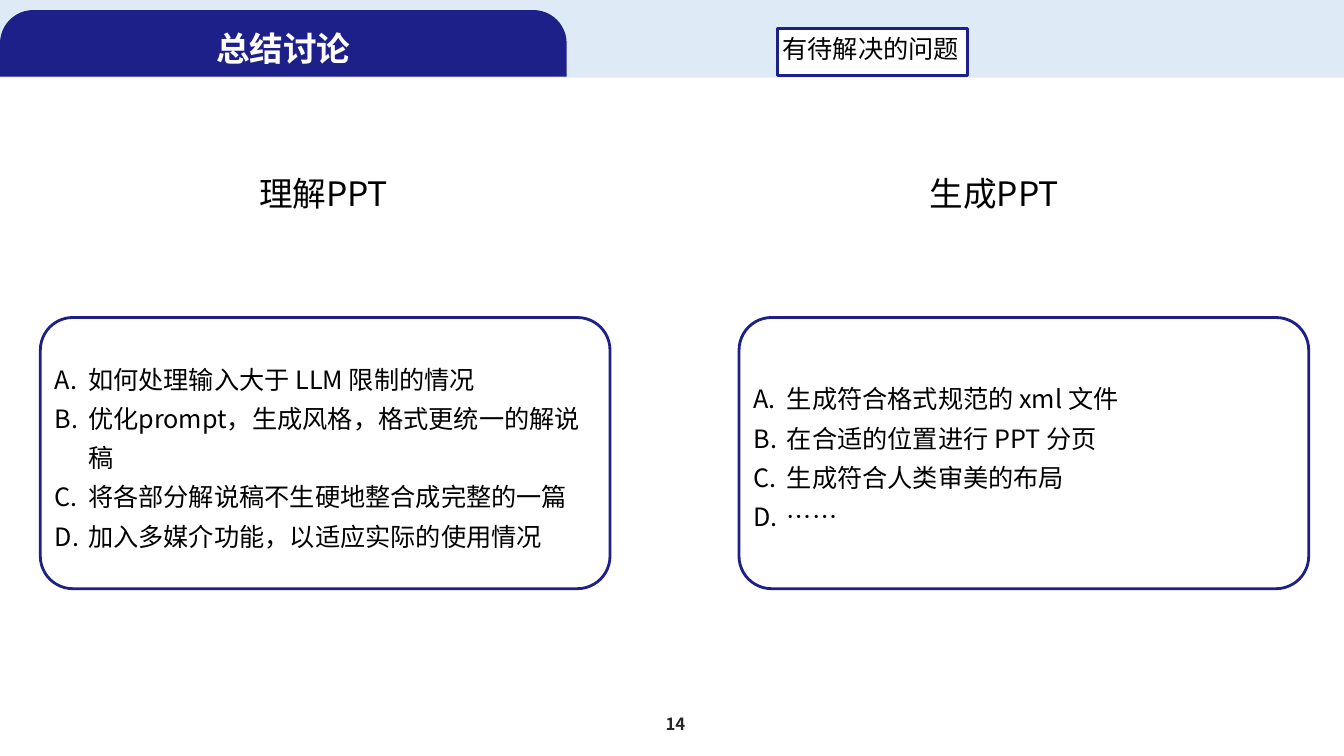
from lxml import etree
from pptx import Presentation
from pptx.dml.color import RGBColor
from pptx.enum.shapes import MSO_SHAPE
from pptx.enum.text import MSO_ANCHOR, MSO_AUTO_SIZE, PP_ALIGN
from pptx.oxml.ns import qn
from pptx.util import Inches, Pt

RECTANGLE = MSO_SHAPE.RECTANGLE
ROUNDED = MSO_SHAPE.ROUNDED_RECTANGLE
TAB = MSO_SHAPE.ROUND_2_SAME_RECTANGLE
TOP, MIDDLE = MSO_ANCHOR.TOP, MSO_ANCHOR.MIDDLE
LEFT, CENTER = PP_ALIGN.LEFT, PP_ALIGN.CENTER
GROW = MSO_AUTO_SIZE.SHAPE_TO_FIT_TEXT

NAVY = RGBColor(0x1D, 0x20, 0x88)
PALE_BLUE = RGBColor(0xDE, 0xEB, 0xF7)
WHITE = RGBColor(0xFF, 0xFF, 0xFF)
BLACK = RGBColor(0, 0, 0)
DARK_GRAY = RGBColor(0x26, 0x26, 0x26)
FONT = "Noto Sans CJK SC"

presentation = Presentation()
presentation.slide_width = Inches(13.33)
presentation.slide_height = Inches(7.5)
slide = presentation.slides.add_slide(presentation.slide_layouts[6])


def add_panel(kind, box, fill, line=None):
    shape = slide.shapes.add_shape(kind, *[Inches(length) for length in box])
    shape.shadow.inherit = False
    shape.fill.solid()
    shape.fill.fore_color.rgb = fill
    if line is None:
        shape.line.fill.background()
    else:
        shape.line.color.rgb = line
        shape.line.width = Pt(2)
    return shape


def write(shape, lines, size, color=BLACK, bold=False, align=LEFT, anchor=TOP, wrap=False):
    frame = shape.text_frame
    frame.word_wrap = wrap
    frame.vertical_anchor = anchor
    frame.margin_left = frame.margin_right = Inches(0.05)
    frame.margin_top = frame.margin_bottom = Inches(0.05)
    for index, line in enumerate(lines):
        paragraph = frame.paragraphs[0] if index == 0 else frame.add_paragraph()
        paragraph.alignment = align
        run = paragraph.add_run()
        run.text = line
        run.font.size = Pt(size)
        run.font.bold = bold
        run.font.color.rgb = color
        run.font.name = FONT
        etree.SubElement(run.font._element, qn("a:ea")).set("typeface", FONT)
    return frame


# Header band with the title tab
add_panel(RECTANGLE, (0, 0, 13.33, 0.77), PALE_BLUE)
title_tab = add_panel(TAB, (0, 0.1, 5.62, 0.66), NAVY)
title_tab.adjustments[0] = 0.5
title = slide.shapes.add_textbox(Inches(0.15), Inches(0.2), Inches(5.32), Inches(0.56))
write(title, ["总结讨论"], 24, WHITE, True, CENTER, MIDDLE, True)

# Page number
number = slide.shapes.add_textbox(Inches(6.55), Inches(7.04), Inches(0.3), Inches(0.29))
write(number, ["14"], 12, DARK_GRAY, True, CENTER, MIDDLE)

# Topic label
topic = add_panel(RECTANGLE, (7.71, 0.28, 1.89, 0.47), WHITE, NAVY)
write(topic, ["有待解决的问题"], 18).auto_size = GROW

# Two columns: heading above a lettered list
columns = [
    (0.4, 2.52, "理解PPT", [
        "如何处理输入大于 LLM 限制的情况",
        "优化prompt，生成风格，格式更统一的解说稿",
        "将各部分解说稿不生硬地整合成完整的一篇",
        "加入多媒介功能，以适应实际的使用情况",
    ]),
    (7.33, 9.17, "生成PPT", [
        "生成符合格式规范的 xml 文件",
        "在合适的位置进行 PPT 分页",
        "生成符合人类审美的布局",
        "……",
    ]),
]
for panel_left, heading_left, heading_text, items in columns:
    heading = slide.shapes.add_textbox(Inches(heading_left), Inches(1.67), Inches(1.43), Inches(0.56))
    write(heading, [heading_text], 24).auto_size = GROW

    panel = add_panel(ROUNDED, (panel_left, 3.15, 5.65, 2.69), WHITE, NAVY)
    panel.adjustments[0] = 0.12
    frame = write(panel, items, 18, anchor=MIDDLE, wrap=True)
    for paragraph in frame.paragraphs:
        paragraph.line_spacing = 1.3
        properties = paragraph._p.get_or_add_pPr()
        properties.set("marL", str(Inches(0.33)))
        properties.set("indent", str(-Inches(0.33)))
        etree.SubElement(properties, qn("a:buFont")).set("typeface", FONT)
        etree.SubElement(properties, qn("a:buAutoNum")).set("type", "alphaUcPeriod")

presentation.save("out.pptx")
